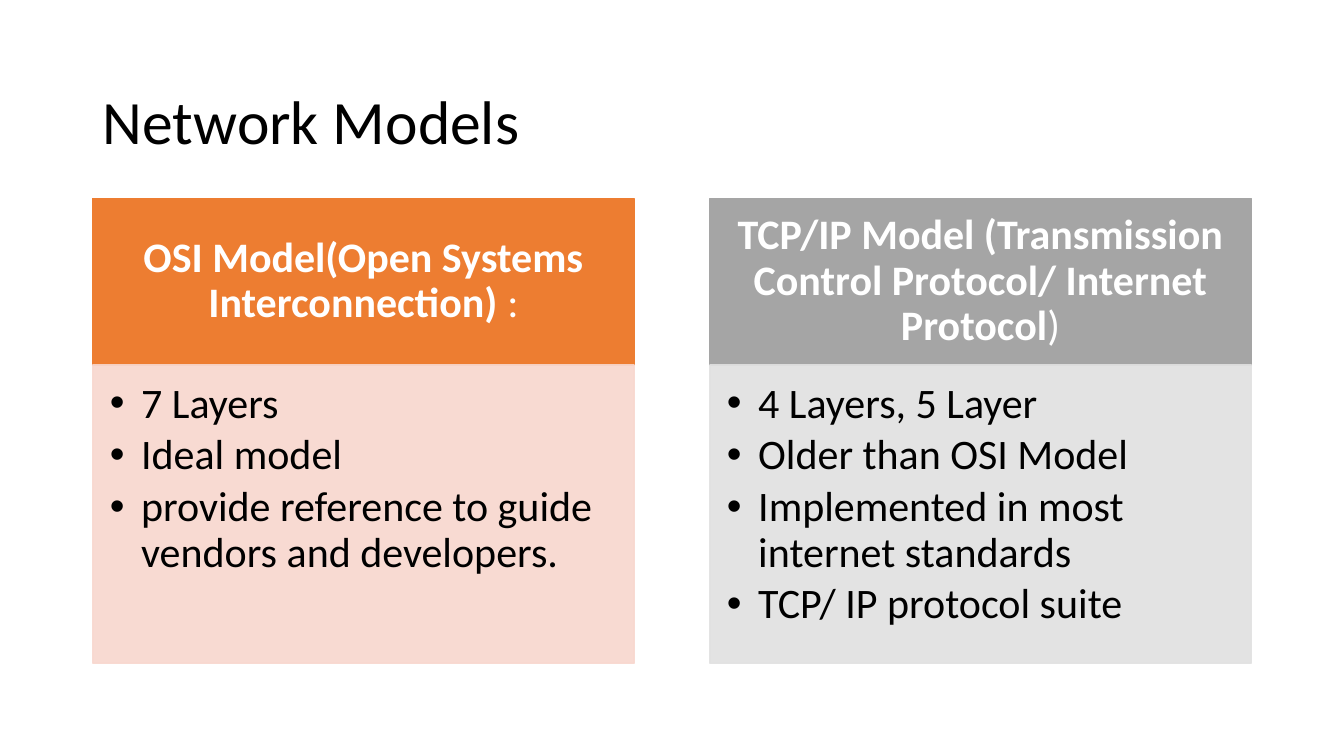
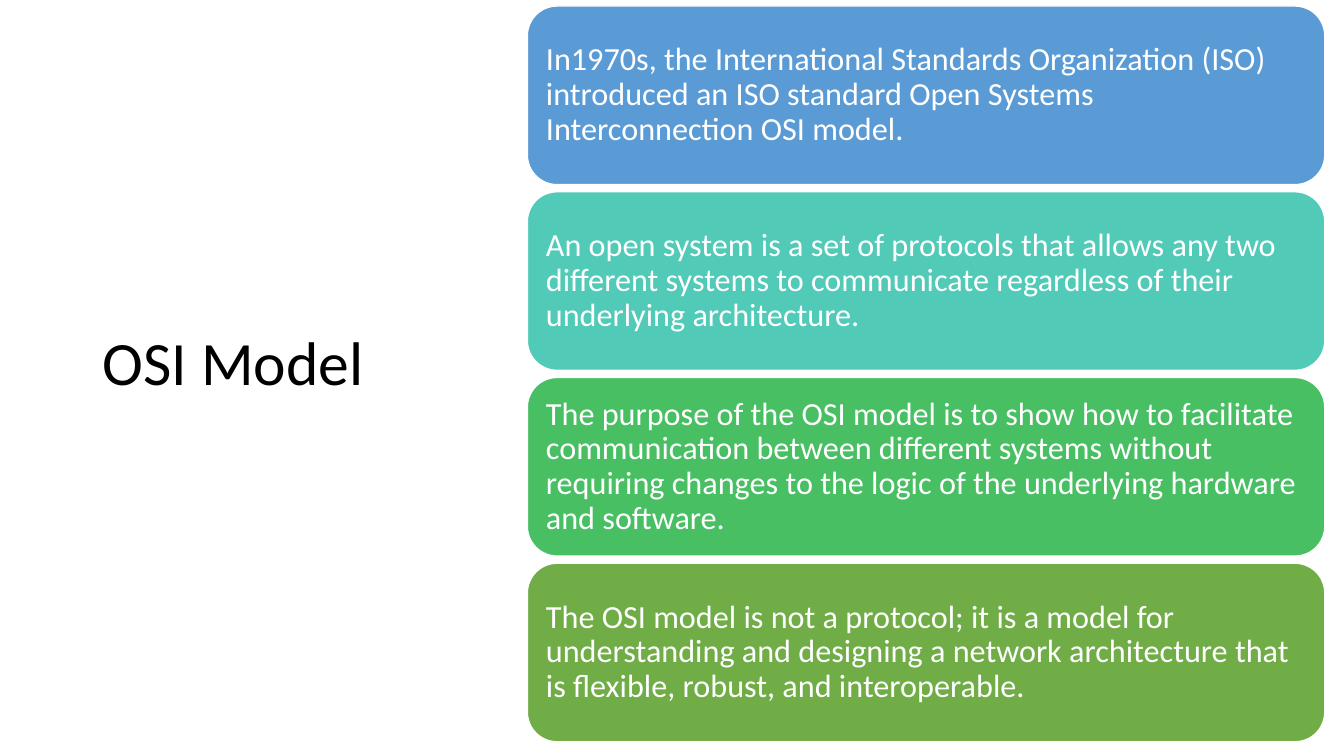
from pptx import Presentation
from pptx.dml.color import RGBColor
from pptx.enum.shapes import MSO_SHAPE as Shape
from pptx.enum.text import MSO_ANCHOR as Anchor, MSO_AUTO_SIZE as AutoSize, PP_ALIGN as Align
from pptx.oxml.ns import qn
from pptx.util import Inches, Pt
from lxml import etree

FONT = "Calibri"
BLACK = RGBColor(0x00, 0x00, 0x00)
WHITE = RGBColor(0xFF, 0xFF, 0xFF)
ORANGE = RGBColor(0xED, 0x7D, 0x31)
PALE_ORANGE = RGBColor(0xF8, 0xD7, 0xCE)
GRAY = RGBColor(0xA5, 0xA5, 0xA5)
PALE_GRAY = RGBColor(0xE1, 0xE1, 0xE1)
BLUE = RGBColor(0x5B, 0x9B, 0xD5)
TEAL = RGBColor(0x52, 0xCA, 0xB8)
GREEN = RGBColor(0x49, 0xBF, 0x64)
OLIVE = RGBColor(0x70, 0xAD, 0x47)

COMPARISON_LAYOUT, TITLE_ONLY_LAYOUT = 4, 5
HEADER_HEIGHT = 1.65
BULLET_INDENT = 0.31

# Each column: header in bold, its regular ending, colours, bullet list
MODELS = [
    ("OSI Model(Open Systems Interconnection) ", ":", ORANGE, PALE_ORANGE,
     ["7 Layers", "Ideal model",
      "provide reference to guide vendors and developers."]),
    ("TCP/IP Model (Transmission Control Protocol/ Internet Protocol", ")",
     GRAY, PALE_GRAY,
     ["4 Layers, 5 Layer", "Older than OSI Model",
      "Implemented in most internet standards", "TCP/ IP protocol suite"]),
]
OSI_FACTS = [
    (BLUE, "In1970s, the International Standards Organization (ISO) introduced "
           "an ISO standard Open Systems Interconnection OSI model."),
    (TEAL, "An open system is a set of protocols that allows any two different "
           "systems to communicate regardless of their underlying architecture."),
    (GREEN, "The purpose of the OSI model is to show how to facilitate communication "
            "between different systems without requiring changes to the logic of "
            "the underlying hardware and software."),
    (OLIVE, "The OSI model is not a protocol; it is a model for understanding and "
            "designing a network architecture that is flexible, robust, and "
            "interoperable."),
]


# Shared styling
def place(shape, left, top, width, height):
    shape.left, shape.top = Inches(left), Inches(top)
    shape.width, shape.height = Inches(width), Inches(height)


def paint(shape, fill, line, opacity=100):
    shape.fill.solid()
    shape.fill.fore_color.rgb = fill
    shape.line.color.rgb = line
    shape.line.width = Pt(1)
    if opacity < 100:
        for color in shape.element.spPr.iter(qn("a:srgbClr")):
            etree.SubElement(color, qn("a:alpha"), val=str(opacity * 1000))


def style_text(shape, size, color, margins, align=Align.LEFT,
               anchor=Anchor.MIDDLE, space_after=0):
    frame = shape.text_frame
    frame.word_wrap = True
    frame.auto_size = AutoSize.NONE
    frame.vertical_anchor = anchor
    (frame.margin_left, frame.margin_top,
     frame.margin_right, frame.margin_bottom) = map(Inches, margins)
    for paragraph in frame.paragraphs:
        paragraph.alignment = align
        paragraph.line_spacing = 0.9
        paragraph.space_before = Pt(0)
        paragraph.space_after = Pt(space_after)
        for run in paragraph.runs:
            run.font.name = FONT
            run.font.size = Pt(size)
            run.font.color.rgb = color


def set_title(slide, text, box):
    title = slide.shapes.title
    place(title, *box)
    title.text_frame.text = text
    style_text(title, 44, BLACK, (0.1, 0.05, 0.1, 0.05))


# Comparison slide
def fill_column(header, body, model, left, top, width, height):
    bold_text, ending, color, pale_color, points = model

    place(header, left, top, width, HEADER_HEIGHT)
    paint(header, color, color)
    paragraph = header.text_frame.paragraphs[0]
    for text, bold in ((bold_text, True), (ending, False)):
        run = paragraph.add_run()
        run.text = text
        run.font.bold = bold
    style_text(header, 30, WHITE, (0.23, 0.13, 0.23, 0.13), Align.CENTER)

    place(body, left, top + HEADER_HEIGHT, width, height - HEADER_HEIGHT)
    paint(body, pale_color, pale_color, opacity=90)
    body.text_frame.text = "\n".join(points)
    style_text(body, 30, BLACK, (0.17, 0.17, 0.23, 0.26),
               anchor=Anchor.TOP, space_after=4.5)
    for paragraph in body.text_frame.paragraphs:
        properties = paragraph._p.get_or_add_pPr()
        properties.set("marL", str(Inches(BULLET_INDENT)))
        properties.set("indent", str(-Inches(BULLET_INDENT)))


def add_comparison_slide(presentation):
    slide = presentation.slides.add_slide(presentation.slide_layouts[COMPARISON_LAYOUT])
    set_title(slide, "Network Models", (0.92, 0.62, 11.5, 1.23))
    left, top, width, height, gap = 0.92, 1.97, 5.37, 4.61, 0.75
    parts = slide.placeholders
    for index, model in enumerate(MODELS):
        header, body = parts[2 * index + 1], parts[2 * index + 2]
        fill_column(header, body, model,
                    left + index * (width + gap), top, width, height)


# Stacked cards slide
def add_cards(slide, facts, left, top, width, height, gap):
    card_height = (height - gap * (len(facts) - 1)) / len(facts)
    for index, (color, text) in enumerate(facts):
        card_top = top + index * (card_height + gap)
        card = slide.shapes.add_shape(
            Shape.ROUNDED_RECTANGLE, Inches(left), Inches(card_top),
            Inches(width), Inches(card_height))
        card.shadow.inherit = False
        paint(card, color, WHITE)
        card.text_frame.text = text
        style_text(card, 23, WHITE, (0.1, 0.1, 0.1, 0.1))


def add_cards_slide(presentation):
    slide = presentation.slides.add_slide(presentation.slide_layouts[TITLE_ONLY_LAYOUT])
    set_title(slide, "OSI Model", (0.92, 1.31, 3.4, 4.63))
    add_cards(slide, OSI_FACTS, 5.23, 0.06, 7.91, 7.3, 0.07)


def main():
    presentation = Presentation()
    presentation.slide_width = Inches(13.33)
    presentation.slide_height = Inches(7.5)
    add_comparison_slide(presentation)
    add_cards_slide(presentation)
    presentation.save("out.pptx")


if __name__ == "__main__":
    main()
